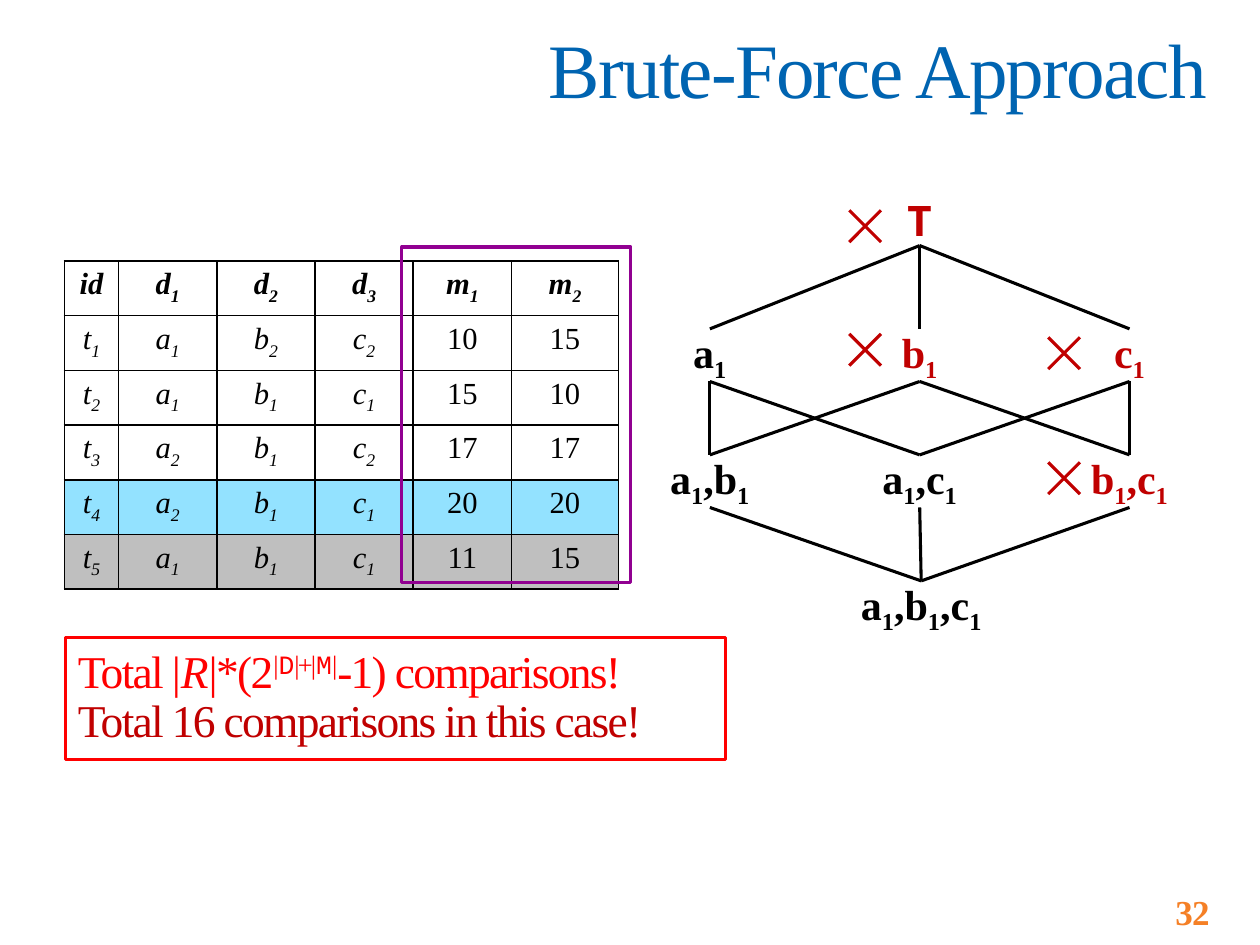
import pptx
import pptx.dml.color
import pptx.enum.shapes
import pptx.enum.text
import pptx.oxml
import pptx.oxml.ns
import pptx.util
from pptx.util import Cm

SERIF, MONO = "Times New Roman", "Courier New"
COLORS = {
    "black": "000000", "white": "FFFFFF", "title": "0064B1", "number": "F58026",
    "red": "FF0000", "pruned": "C00000", "measures": "910091",
    "current": "93E2FF", "done": "BFBFBF",
}
ALIGN = pptx.enum.text.PP_ALIGN
ANCHOR = pptx.enum.text.MSO_ANCHOR
SHAPE = pptx.enum.shapes.MSO_SHAPE

HEADER = ["id", "d_1", "d_2", "d_3", "m_1", "m_2"]
TUPLES = [
    ["t_1", "a_1", "b_2", "c_2", "10", "15"],
    ["t_2", "a_1", "b_1", "c_1", "15", "10"],
    ["t_3", "a_2", "b_1", "c_2", "17", "17"],
    ["t_4", "a_2", "b_1", "c_1", "20", "20"],
    ["t_5", "a_1", "b_1", "c_1", "11", "15"],
]
ROW_FILLS = {4: "current", 5: "done"}
COLUMN_WIDTHS = [1.09, 1.98, 1.98, 1.98, 1.98, 2.16]
ROW_HEIGHT = 1.04

NODE_WIDTH, NODE_HEIGHT = 2.54, 1.06
LEVEL_TOPS = [3.89, 6.63, 9.17, 11.71]
LATTICE_X = [14.31, 18.54, 22.77]
# label: (column, level, colour)
NODES = {
    "Τ": (1, 0, "pruned"),
    "a_1": (0, 1, "black"), "b_1": (1, 1, "pruned"), "c_1": (2, 1, "pruned"),
    "a_1,b_1": (0, 2, "black"), "a_1,c_1": (1, 2, "black"),
    "b_1,c_1": (2, 2, "pruned"),
}
BOTTOM = "a_1,b_1,c_1"
EDGES = [
    ("Τ", "a_1"), ("Τ", "b_1"), ("Τ", "c_1"),
    ("a_1", "a_1,b_1"), ("a_1", "a_1,c_1"), ("b_1", "a_1,b_1"),
    ("b_1", "b_1,c_1"), ("c_1", "a_1,c_1"), ("c_1", "b_1,c_1"),
    ("a_1,b_1", BOTTOM), ("a_1,c_1", BOTTOM), ("b_1,c_1", BOTTOM),
]
CROSS_CENTERS = [(17.44, 4.56), (17.44, 7.05), (21.45, 7.12), (21.45, 9.64)]


def rgb(color):
    return pptx.dml.color.RGBColor.from_string(COLORS[color])


def subscripted(label):
    """Split a label into runs; the character after each underscore is lowered."""
    first, *others = label.split("_")
    runs = [(first, {})]
    for part in others:
        runs.append((part[0], {"baseline": -25}))
        if part[1:]:
            runs.append((part[1:], {}))
    return runs


def add_run(paragraph, text, font=SERIF, size=24, color="black", bold=False,
            italic=False, spacing=0, baseline=0):
    run = paragraph.add_run()
    run.text = text
    run.font.name = font
    run.font.size = pptx.util.Pt(size)
    run.font.bold = bold
    run.font.italic = italic
    run.font.color.rgb = rgb(color)
    properties = run._r.get_or_add_rPr()
    if spacing:
        properties.set("spc", str(int(spacing * 100)))
    if baseline:
        properties.set("baseline", str(baseline * 1000))


def write(frame, *lines, align=ALIGN.CENTER, line_spacing=None, anchor=ANCHOR.MIDDLE,
          insets=(0, 0, 0, 0), wrap=True, **style):
    """Fill a text frame; each line is a label or a list of (text, style) runs."""
    frame.word_wrap = wrap
    frame.vertical_anchor = anchor
    frame.margin_left, frame.margin_top, frame.margin_right, frame.margin_bottom = map(Cm, insets)
    for index, line in enumerate(lines):
        paragraph = frame.add_paragraph() if index else frame.paragraphs[0]
        paragraph.alignment = align
        if line_spacing:
            paragraph.line_spacing = line_spacing
        for text, changes in subscripted(line) if isinstance(line, str) else line:
            add_run(paragraph, text, **{**style, **changes})


def add_box(slide, kind, left, top, width, height, fill=None, line=None):
    box = slide.shapes.add_shape(kind, Cm(left), Cm(top), Cm(width), Cm(height))
    box.shadow.inherit = False
    if fill:
        box.fill.solid()
        box.fill.fore_color.rgb = rgb(fill)
    else:
        box.fill.background()
    if line:
        box.line.color.rgb = rgb(line)
        box.line.width = pptx.util.Pt(1.75)
    else:
        box.line.fill.background()
    return box


def add_line(slide, x1, y1, x2, y2, color="black"):
    line = slide.shapes.add_connector(pptx.enum.shapes.MSO_CONNECTOR.STRAIGHT, x1, y1, x2, y2)
    line.line.color.rgb = rgb(color)
    line.line.width = pptx.util.Pt(1.75)
    line._element.spPr.append(pptx.oxml.parse_xml(
        f"<a:effectLst {pptx.oxml.ns.nsdecls('a')}/>"))
    return line


def add_cross(slide, x, y, reach=0.32):
    for slope in (1, -1):
        add_line(slide, Cm(x - reach), Cm(y - slope * reach),
                 Cm(x + reach), Cm(y + slope * reach), "pruned")


def add_borders(cell):
    properties = cell._tc.get_or_add_tcPr()
    for side in ("lnL", "lnR", "lnT", "lnB"):
        properties.append(pptx.oxml.parse_xml(
            f'<a:{side} {pptx.oxml.ns.nsdecls("a")} w="12700"><a:solidFill>'
            f'<a:srgbClr val="{COLORS["black"]}"/></a:solidFill></a:{side}>'))


def add_relation(slide):
    """The table of tuples, with the current and the finished tuple shaded."""
    rows = [HEADER] + TUPLES
    relation = slide.shapes.add_table(
        len(rows), len(HEADER), Cm(1.3), Cm(5.26),
        Cm(sum(COLUMN_WIDTHS)), Cm(ROW_HEIGHT * len(rows))).table
    for column, width in zip(relation.columns, COLUMN_WIDTHS):
        column.width = Cm(width)
    for r, values in enumerate(rows):
        relation.rows[r].height = Cm(ROW_HEIGHT)
        for c, value in enumerate(values):
            cell = relation.cell(r, c)
            write(cell.text_frame, value, size=17.5, bold=r == 0,
                  italic=not value.isdigit())
            cell.vertical_anchor = ANCHOR.TOP
            cell.margin_left = cell.margin_right = Cm(0.23)
            cell.margin_top = cell.margin_bottom = Cm(0.13)
            add_borders(cell)
            if r in ROW_FILLS:
                cell.fill.solid()
                cell.fill.fore_color.rgb = rgb(ROW_FILLS[r])
            else:
                cell.fill.background()


def add_lattice(slide):
    nodes = {}
    for label, (column, level, color) in NODES.items():
        node = add_box(slide, SHAPE.OVAL, LATTICE_X[column] - NODE_WIDTH / 2,
                       LEVEL_TOPS[level], NODE_WIDTH, NODE_HEIGHT)
        write(node.text_frame, label, bold=True, color=color, wrap=False,
              font="Karla" if level == 0 else SERIF)
        nodes[label] = node
    nodes[BOTTOM] = slide.shapes.add_textbox(
        Cm(16.92), Cm(LEVEL_TOPS[3]), Cm(3.3), Cm(NODE_HEIGHT))
    write(nodes[BOTTOM].text_frame, BOTTOM, bold=True, wrap=False)
    for upper, lower in EDGES:
        parent, child = nodes[upper], nodes[lower]
        edge = add_line(slide, parent.left + parent.width // 2, parent.top + parent.height,
                        child.left + child.width // 2, child.top)
        edge.end_connect(child, 0)
    for center in CROSS_CENTERS:
        add_cross(slide, *center)


def add_cost(slide):
    raised, raised_mono = {"baseline": 30}, {"baseline": 30, "font": MONO}
    formula = [
        ("Total |", {}), ("R", {"italic": True}), ("|*(2", {}),
        ("|", raised), ("D", raised_mono), ("|+|", raised), ("M", raised_mono),
        ("|", raised), ("-1) comparisons!", {}),
    ]
    cost = add_box(slide, SHAPE.RECTANGLE, 1.32, 12.85, 13.31, 2.46, line="red")
    write(cost.text_frame, formula,
          [("Total 16 comparisons in this case!", {"color": "pruned"})],
          align=ALIGN.JUSTIFY, line_spacing=0.9, anchor=ANCHOR.BOTTOM,
          insets=(0.25, 0.13, 0.13, 0.25), size=26, color="red", spacing=-1)


def main():
    deck = pptx.Presentation()
    deck.slide_width, deck.slide_height = Cm(25.4), Cm(19.05)
    slide = deck.slides.add_slide(deck.slide_layouts[5])

    number = add_box(slide, SHAPE.RECTANGLE, 22.56, 16.31, 2.84, 2.74, fill="white")
    write(number.text_frame, "32", anchor=ANCHOR.BOTTOM, insets=(0.25, 0.13, 0.13, 0.25),
          size=20, color="number", bold=True, spacing=-0.5)

    title = slide.shapes.title
    title.left, title.top, title.width, title.height = Cm(1.09), Cm(0.64), Cm(23.24), Cm(1.7)
    write(title.text_frame, "Brute-Force Approach", align=ALIGN.RIGHT, line_spacing=0.9,
          anchor=ANCHOR.TOP, size=44, color="title", spacing=-1)
    title.text_frame.auto_size = pptx.enum.text.MSO_AUTO_SIZE.SHAPE_TO_FIT_TEXT

    add_relation(slide)
    add_lattice(slide)
    add_cost(slide)
    add_box(slide, SHAPE.RECTANGLE, 8.1, 4.98, 4.62, 6.76, line="measures")
    deck.save("out.pptx")


if __name__ == "__main__":
    main()
